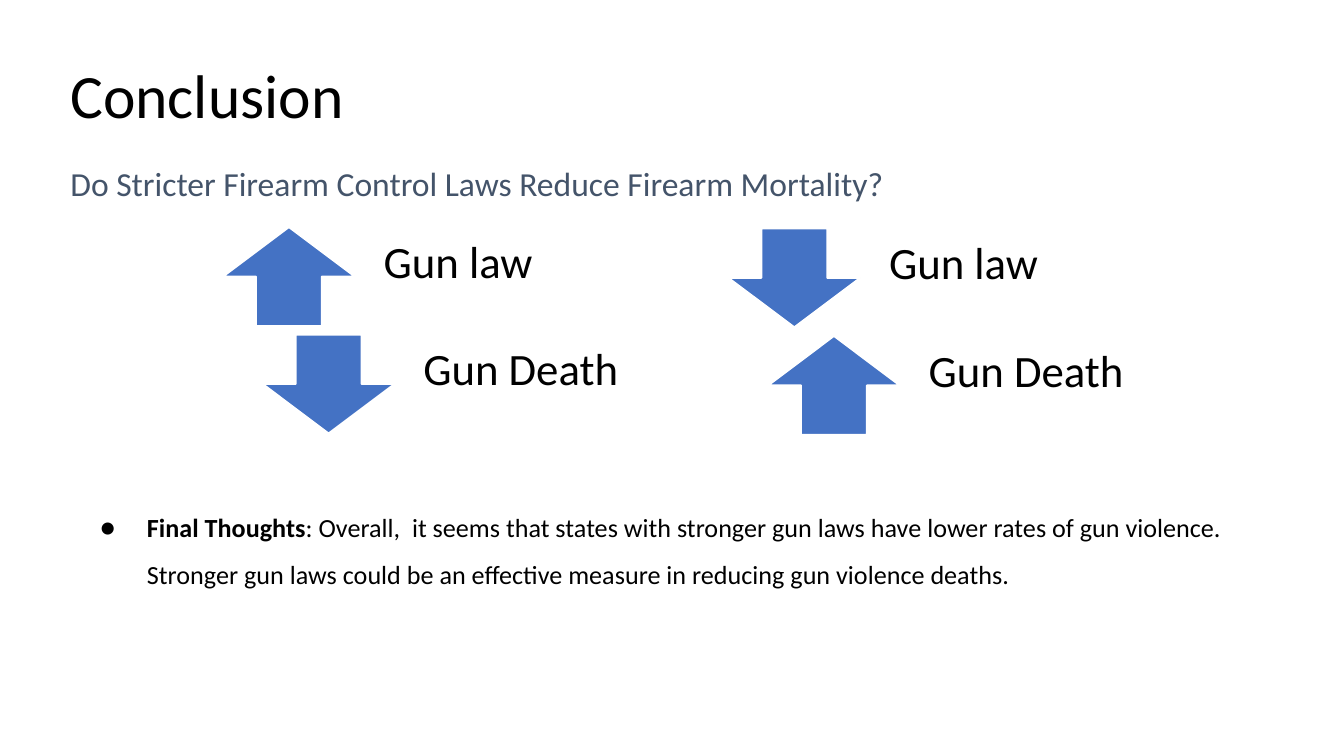
from dataclasses import dataclass

from lxml import etree
from pptx import Presentation
from pptx.dml.color import RGBColor
from pptx.enum.shapes import MSO_SHAPE
from pptx.enum.text import MSO_ANCHOR
from pptx.oxml.ns import qn
from pptx.util import Emu, Pt

UP, DOWN = MSO_SHAPE.UP_ARROW, MSO_SHAPE.DOWN_ARROW
TOP, MIDDLE, BOTTOM = MSO_ANCHOR.TOP, MSO_ANCHOR.MIDDLE, MSO_ANCHOR.BOTTOM
FONT = "Calibri"
BLACK, SLATE, BLUE, WHITE = "000000", "44546A", "4472C4", "FFFFFF"
SIDES = ("left", "top", "right", "bottom")


def px(n: int) -> Emu:
    """200 px make one inch."""
    return Emu(n * 4572)


def rgb(code: str) -> RGBColor:
    return RGBColor.from_string(code)


@dataclass
class Box:
    x: int
    y: int
    w: int
    h: int

    def place(self) -> list[Emu]:
        return [px(n) for n in (self.x, self.y, self.w, self.h)]


@dataclass
class Run:
    text: str
    size: int
    color: str = BLACK
    bold: bool = False


@dataclass
class Trend:
    """A pair of rows: gun law above, gun death below."""
    x: int
    y: int
    turn: int


ROWS = ("Gun law", "Gun Death")
ARROWS = (UP, DOWN)
STEP_X, STEP_Y = 59, 160
ROW_H = 147
TRENDS = (Trend(332, 338, 0), Trend(1084, 340, 180))


def add_text(shapes, box: Box, runs: list[Run], anchor=TOP,
             inset=(20, 20, 20, 20), **form):
    frame = shapes.add_textbox(*box.place()).text_frame
    frame.word_wrap = True
    frame.vertical_anchor = anchor
    for side, gap in zip(SIDES, inset):
        setattr(frame, f"margin_{side}", px(gap))
    para = frame.paragraphs[0]
    for name, value in form.items():
        setattr(para, name, value)
    for item in runs:
        run = para.add_run()
        run.text = item.text
        values = {"name": FONT, "size": Pt(item.size), "bold": item.bold}
        for name, value in values.items():
            setattr(run.font, name, value)
        run.font.color.rgb = rgb(item.color)
    return para


def add_bullet(para, mark: str, left: int, hang: int) -> None:
    props = para._p.get_or_add_pPr()
    props.set("marL", str(px(left)))
    props.set("indent", str(px(-hang)))
    etree.SubElement(props, qn("a:buFont")).set("typeface", FONT)
    etree.SubElement(props, qn("a:buChar")).set("char", mark)


def add_arrow(shapes, kind, box: Box, turn: int) -> None:
    arrow = shapes.add_shape(kind, *box.place())
    arrow.shadow.inherit = False
    arrow.rotation = turn
    arrow.fill.solid()
    arrow.fill.fore_color.rgb = rgb(BLUE)
    arrow.line.color.rgb = rgb(WHITE)
    arrow.line.width = Pt(1)


def add_trend(slide, trend: Trend) -> None:
    shapes = slide.shapes.add_group_shape().shapes
    for i, (label, kind) in enumerate(zip(ROWS, ARROWS)):
        x, y = trend.x + i * STEP_X, trend.y + i * STEP_Y
        add_arrow(shapes, kind, Box(x, y, 196, ROW_H), trend.turn)
        add_text(shapes, Box(x + 201, y, 374, ROW_H), [Run(label, 24)],
                 MIDDLE, (38, 0, 38, 38), line_spacing=0.9,
                 space_after=Pt(8))


def main() -> None:
    deck = Presentation()
    deck.slide_width, deck.slide_height = px(2000), px(1125)
    slide = deck.slides.add_slide(deck.slide_layouts[6])
    shapes = slide.shapes

    add_text(shapes, Box(85, 66, 1830, 150), [Run("Conclusion", 33)], BOTTOM,
             line_spacing=0.9)
    thoughts = add_text(shapes, Box(99, 718, 1830, 600), [
        Run("Final Thoughts", 14, bold=True),
        Run(": Overall,  it seems that states with stronger gun laws have "
            "lower rates of gun violence. Stronger gun laws could be an "
            "effective measure in reducing gun violence deaths.", 14),
    ], line_spacing=1.5)
    add_bullet(thoughts, "●", 100, 70)
    add_text(shapes, Box(85, 222, 1830, 184), [
        Run("Do Stricter Firearm Control Laws Reduce Firearm Mortality?",
            18, SLATE)])
    for trend in TRENDS:
        add_trend(slide, trend)

    deck.save("out.pptx")


if __name__ == "__main__":
    main()
